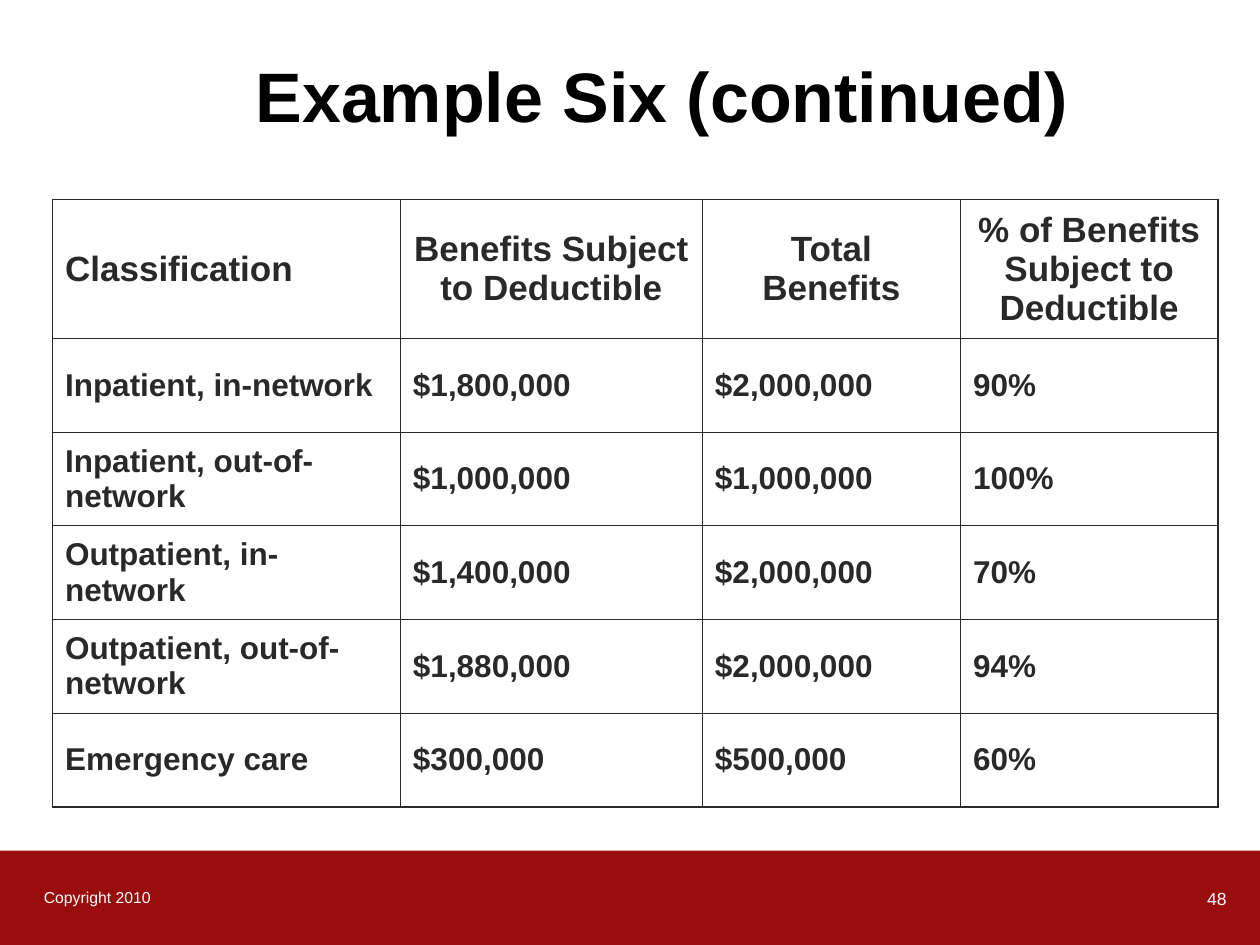
from lxml.etree import SubElement
from pptx import Presentation
from pptx.dml.color import RGBColor
from pptx.enum.shapes import MSO_SHAPE as Shape
from pptx.enum.text import MSO_ANCHOR as Anchor, PP_ALIGN as Align
from pptx.oxml.ns import qn
from pptx.util import Pt

WHITE = RGBColor(0xFF, 0xFF, 0xFF)
BLACK = RGBColor(0x00, 0x00, 0x00)
RED = RGBColor(0x99, 0x0D, 0x0D)
CHARCOAL = RGBColor(0x29, 0x29, 0x29)

FONT = "Arial"
THIN, THICK = 0.45, 1.08
COLUMN_WIDTHS = [198.8, 172.6, 147.5, 147.1]
HEADER_HEIGHT, ROW_HEIGHT = 79.2, 53.55
ROWS = [
    ["Classification", "Benefits Subject to Deductible", "Total\nBenefits",
     "% of Benefits Subject to Deductible"],
    ["Inpatient, in-network", "$1,800,000", "$2,000,000", "90%"],
    ["Inpatient, out-of-network", "$1,000,000", "$1,000,000", "100%"],
    ["Outpatient, in-network", "$1,400,000", "$2,000,000", "70%"],
    ["Outpatient, out-of-network", "$1,880,000", "$2,000,000", "94%"],
    ["Emergency care", "$300,000", "$500,000", "60%"],
]


def write(tf, text, size, color, align=Align.LEFT, bold=False):
    tf.text = text
    for p in tf.paragraphs:
        p.alignment = align
        p.font.name = FONT
        p.font.size = Pt(size)
        p.font.bold = bold
        p.font.color.rgb = color


def add_text(slide, box, text, size, color, align=Align.LEFT, bold=False,
             anchor=Anchor.TOP):
    tf = slide.shapes.add_textbox(*map(Pt, box)).text_frame
    tf.word_wrap = True
    tf.vertical_anchor = anchor
    write(tf, text, size, color, align, bold)


def add_band(slide, box, color):
    sp = slide.shapes.add_shape(Shape.RECTANGLE, *map(Pt, box))
    sp.shadow.inherit = False
    sp.fill.solid()
    sp.fill.fore_color.rgb = color
    sp.line.fill.background()


def set_borders(cell, widths):
    tc_pr = cell._tc.get_or_add_tcPr()
    for side, width in widths.items():
        ln = SubElement(tc_pr, qn(f"a:ln{side}"), w=str(int(Pt(width))))
        fill = SubElement(ln, qn("a:solidFill"))
        SubElement(fill, qn("a:srgbClr"), val=str(CHARCOAL))


def add_benefits_table(slide, left, top):
    heights = [HEADER_HEIGHT] + [ROW_HEIGHT] * (len(ROWS) - 1)
    last_row, last_col = len(ROWS) - 1, len(COLUMN_WIDTHS) - 1
    frame = slide.shapes.add_table(
        len(ROWS), len(COLUMN_WIDTHS), Pt(left), Pt(top),
        Pt(sum(COLUMN_WIDTHS)), Pt(sum(heights)))
    table = frame.table
    for column, width in zip(table.columns, COLUMN_WIDTHS):
        column.width = Pt(width)
    for row, height in zip(table.rows, heights):
        row.height = Pt(height)
    for i, texts in enumerate(ROWS):
        for j, text in enumerate(texts):
            cell = table.cell(i, j)
            cell.vertical_anchor = Anchor.MIDDLE
            align = Align.CENTER if i == 0 and j > 0 else Align.LEFT
            size = 20 if i == 0 else 18
            write(cell.text_frame, text, size, CHARCOAL, align, bold=True)
            set_borders(cell, {
                "L": THICK if j == 0 else THIN,
                "R": THICK if j == last_col else THIN,
                "T": THICK if i == 0 else THIN,
                "B": THICK if i == last_row else THIN,
            })
            cell.fill.background()


def main():
    prs = Presentation()
    prs.slide_width, prs.slide_height = Pt(720), Pt(540)
    slide = prs.slides.add_slide(prs.slide_layouts[6])
    add_band(slide, (0, 486, 720, 54), RED)
    add_text(slide, (18, 504, 150, 18), "Copyright 2010", 9, WHITE)
    add_text(slide, (558, 504, 150, 24), "48", 10, WHITE, Align.RIGHT)
    add_text(slide, (78, 6, 600, 75.6), "Example Six (continued)", 40, BLACK,
             Align.CENTER, bold=True, anchor=Anchor.BOTTOM)
    add_benefits_table(slide, 30, 114)
    prs.save("out.pptx")


if __name__ == "__main__":
    main()
